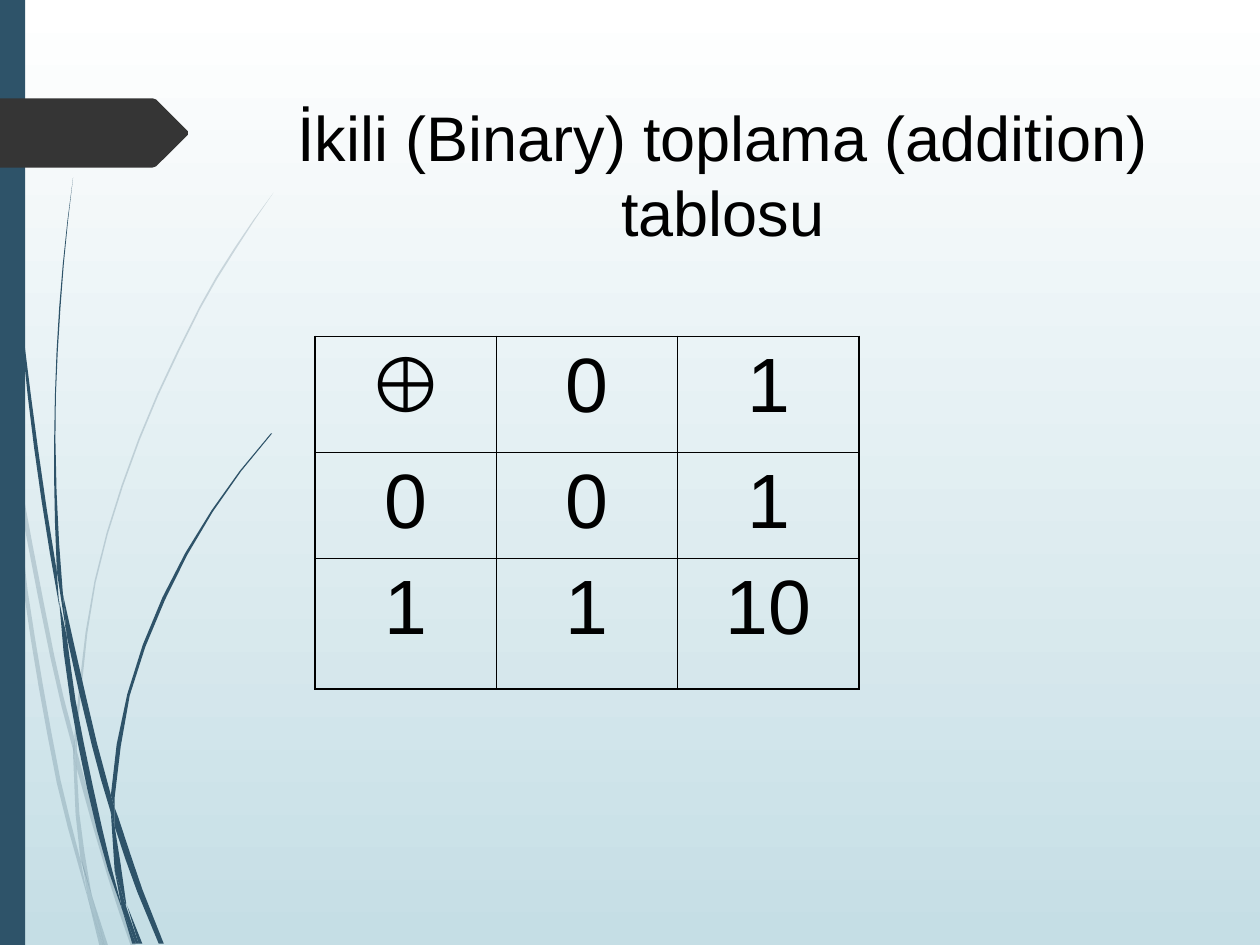
import math

import pptx
import pptx.dml.color
import pptx.enum.shapes
import pptx.enum.text
import pptx.oxml
import pptx.oxml.ns
import pptx.util

# Content: all lengths are px, 100 px to the inch
PX = 9144
SLIDE = (1000, 750)
COLORS = {"sky": "FFFFFF", "mist": "C5DEE5", "blue": "2E5369",
          "charcoal": "353535", "ink": "000000"}
FONT = "Arial"
TITLE = "İkili (Binary) toplama (addition) tablosu"
TITLE_BOX = (213, 68, 721, 140)
ADDITION = [["⊕", "0", "1"],
            ["0", "0", "1"],
            ["1", "1", "10"]]
TABLE_AT = (250, 267)
COLUMN_WIDTH = 144
ROW_HEIGHTS = (92, 84, 104)
OUTER_PT, INNER_PT = 1.08, 0.45
SIDE_BAR = (0, 0, 20, 750)
POINTER = [[(0, 78), (121, 78)], [(124, 79), (149, 104)],
           [(149, 107), (124, 132)], [(121, 133), (0, 133)]]

# Grass blades: every piece is a list of smooth edges, joined end to end
PALE_GRASS = [
    [[(8, 350), (6, 322), (0, 282)], [(0, 299), (7, 344)]],
    [[(12, 376), (40, 522), (59, 599)], [(59, 586), (43, 520), (10, 345)]],
    [[(61, 610), (85, 694), (104, 751)],
     [(108, 751), (88, 692), (64, 607), (61, 596)]],
    [[(73, 711), (83, 751)], [(86, 751), (73, 711)]],
    [[(70, 714), (64, 683), (48, 619), (22, 469), (12, 376), (8, 350)],
     [(8, 350), (19, 470), (45, 621), (64, 693), (70, 714)]],
    [[(58, 599), (60, 646), (64, 683), (73, 711)],
     [(72, 706), (63, 646), (61, 610), (58, 599)]],
    [[(61, 596), (59, 584), (75, 461), (110, 348), (158, 244), (186, 197),
      (217, 153)],
     [(217, 153), (187, 198), (159, 245), (111, 349), (76, 462), (61, 584),
      (61, 596)]],
    [[(70, 714), (79, 751)], [(82, 751), (70, 714)]],
    [[(58, 599), (61, 610)], [(61, 596), (59, 586)]],
    [[(65, 683), (70, 714), (82, 751)], [(83, 751), (73, 711), (65, 683)]],
]
DARK_GRASS = [
    [[(2, 0), (5, 110), (14, 233), (27, 355), (47, 481)],
     [(45, 453), (30, 355), (15, 232), (6, 109), (3, 0)]],
    [[(53, 505), (73, 592), (88, 645)], [(88, 631), (77, 590), (50, 472)]],
    [[(91, 656), (109, 708), (126, 749)],
     [(130, 749), (113, 706), (94, 649), (91, 641)]],
    [[(47, 477), (56, 557), (77, 659), (97, 722)],
     [(96, 717), (81, 657), (60, 556), (53, 505), (47, 477)]],
    [[(50, 472), (44, 349), (48, 244), (58, 141)],
     [(58, 141), (47, 244), (43, 349), (45, 449), (49, 471)]],
    [[(101, 719), (110, 749)], [(113, 749), (101, 719)]],
    [[(45, 453), (53, 505)], [(50, 472), (45, 449)]],
    [[(88, 631), (101, 551), (129, 474), (168, 405), (215, 344)],
     [(216, 344), (169, 406), (131, 476), (103, 552), (91, 633), (91, 641)]],
    [[(97, 722), (105, 749)], [(108, 749), (97, 722)]],
    [[(88, 645), (91, 691), (100, 719)], [(100, 716), (91, 656), (88, 645)]],
    [[(88, 645), (91, 656)], [(91, 641), (88, 631)]],
    [[(91, 691), (97, 722), (108, 749)], [(110, 749), (100, 719), (91, 691)]],
]
GRASS = [(PALE_GRASS, 20), (DARK_GRASS, 100)]
LONGEST_STEP = 50


def emu(*lengths):
    return [pptx.util.Emu(round(length * PX)) for length in lengths]


def rgb(name):
    return pptx.dml.color.RGBColor.from_string(COLORS[name])


def unit(vector):
    return vector / abs(vector)


def smooth(edge):
    """Sample a cubic curve that passes through every point of the edge."""
    nodes = [complex(*point) for point in edge]
    if len(nodes) == 2:
        return edge
    inner = [unit(after - before) for before, after in zip(nodes, nodes[2:])]
    first = unit(nodes[1] - nodes[0]) ** 2 / inner[0]
    last = unit(nodes[-1] - nodes[-2]) ** 2 / inner[-1]
    headings = [first, *inner, last]
    samples = [nodes[0]]
    for a, b, leave, arrive in zip(nodes, nodes[1:], headings, headings[1:]):
        reach = abs(b - a) / 3
        c, d = a + leave * reach, b - arrive * reach
        steps = math.ceil(abs(b - a) / LONGEST_STEP)
        for step in range(1, steps + 1):
            t = step / steps
            s = 1 - t
            samples.append(a * s**3 + 3 * c * s * s * t + 3 * d * s * t * t + b * t**3)
    return [(sample.real, sample.imag) for sample in samples]


def paint(shape, color, opacity=100):
    shape.shadow.inherit = False
    shape.line.fill.background()
    shape.fill.solid()
    shape.fill.fore_color.rgb = rgb(color)
    if opacity < 100:
        srgb = shape._element.spPr.find(".//" + pptx.oxml.ns.qn("a:srgbClr"))
        srgb.append(pptx.oxml.parse_xml(
            f'<a:alpha {pptx.oxml.ns.nsdecls("a")} val="{opacity * 1000}"/>'))


def add_outline(shapes, edges, color, opacity=100):
    points = [emu(*point) for edge in edges for point in smooth(edge)]
    builder = shapes.build_freeform(*points[0])
    builder.add_line_segments(points[1:], close=True)
    paint(builder.convert_to_shape(), color, opacity)


def style_text(frame, size):
    paragraph = frame.paragraphs[0]
    paragraph.alignment = pptx.enum.text.PP_ALIGN.CENTER
    for run in paragraph.runs:
        run.font.name = FONT
        run.font.size = pptx.util.Pt(size)
        run.font.bold = False
        run.font.color.rgb = rgb("ink")


def set_borders(cell, widths):
    properties = cell._tc.get_or_add_tcPr()
    for place, (side, points) in enumerate(widths.items()):
        properties.insert(place, pptx.oxml.parse_xml(
            f'<a:ln{side} {pptx.oxml.ns.nsdecls("a")} w="{round(points * 12700)}">'
            f'<a:solidFill><a:srgbClr val="{COLORS["ink"]}"/></a:solidFill>'
            f'</a:ln{side}>'))


def main():
    deck = pptx.Presentation()
    deck.slide_width, deck.slide_height = emu(*SLIDE)
    slide = deck.slides.add_slide(deck.slide_layouts[5])
    shapes = slide.shapes

    # Background
    backdrop = slide.background.fill
    backdrop.gradient()
    backdrop.gradient_angle = 270
    for stop, color in zip(backdrop.gradient_stops, ("sky", "mist")):
        stop.color.rgb = rgb(color)

    # Grass, side bar and pointer
    for blades, opacity in GRASS:
        tuft = shapes.add_group_shape()
        for blade in blades:
            add_outline(tuft.shapes, blade, "blue", opacity)
    side_bar = shapes.add_shape(pptx.enum.shapes.MSO_SHAPE.RECTANGLE, *emu(*SIDE_BAR))
    paint(side_bar, "blue")
    add_outline(shapes, POINTER, "charcoal")

    # Title, in front of the decoration
    title = shapes.title
    title.left, title.top, title.width, title.height = emu(*TITLE_BOX)
    title.text_frame.text = TITLE
    title.text_frame.vertical_anchor = pptx.enum.text.MSO_ANCHOR.MIDDLE
    style_text(title.text_frame, 36)
    shapes._spTree.append(title._element)

    # Addition table
    count = len(ADDITION)
    size = (COLUMN_WIDTH * count, sum(ROW_HEIGHTS))
    table = shapes.add_table(count, count, *emu(*TABLE_AT, *size)).table
    table.first_row = table.horz_banding = False
    for column in table.columns:
        column.width = emu(COLUMN_WIDTH)[0]
    for r, (height, values) in enumerate(zip(ROW_HEIGHTS, ADDITION)):
        table.rows[r].height = emu(height)[0]
        for c, value in enumerate(values):
            cell = table.cell(r, c)
            cell.text_frame.text = value
            style_text(cell.text_frame, 44)
            cell.fill.background()
            on_edge = {"L": c == 0, "R": c == count - 1,
                       "T": r == 0, "B": r == count - 1}
            set_borders(cell, {side: OUTER_PT if outer else INNER_PT
                               for side, outer in on_edge.items()})

    deck.save("out.pptx")


if __name__ == "__main__":
    main()
